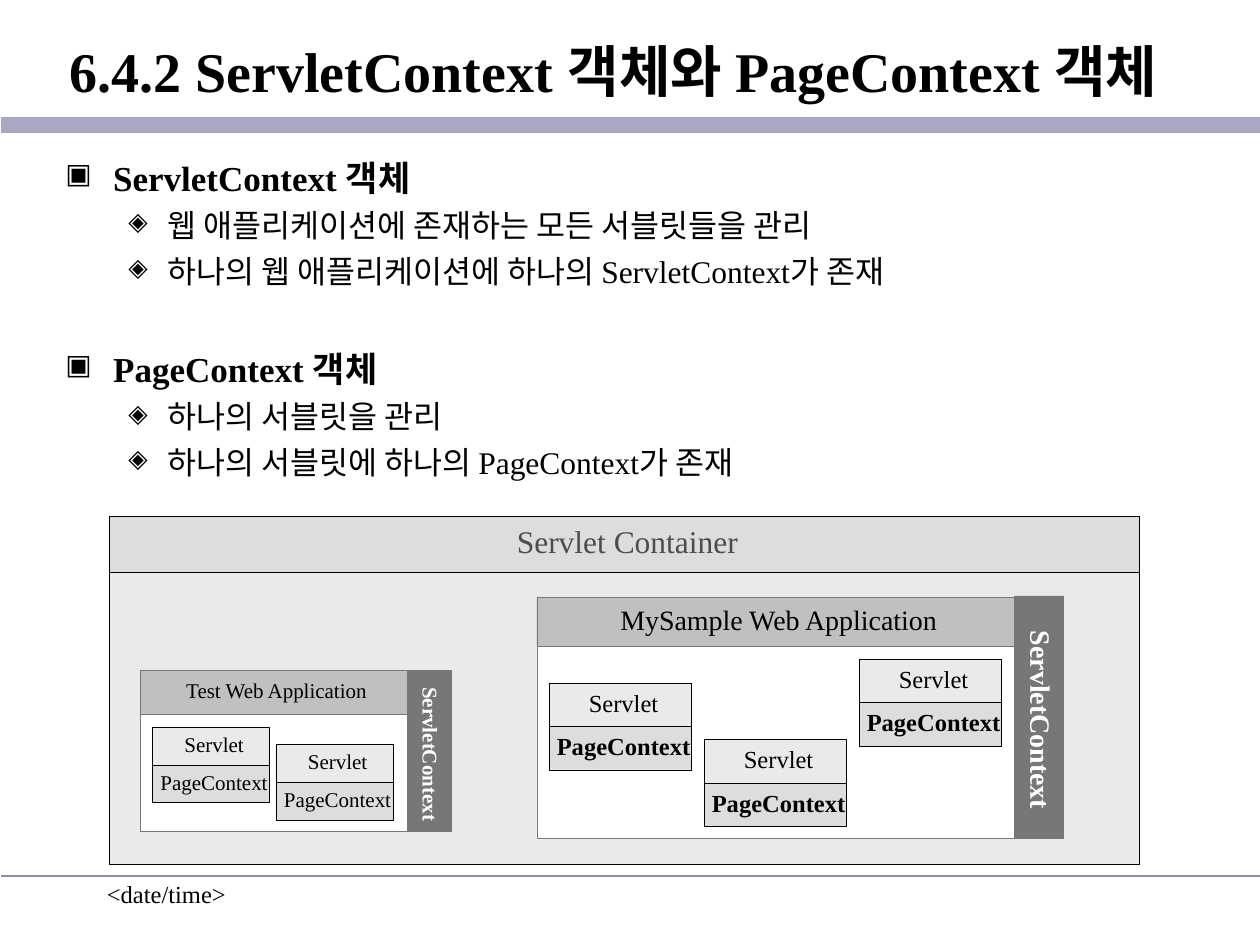
import pptx
import pptx.util
import pptx.dml.color
import pptx.enum.shapes
import pptx.enum.text
import pptx.oxml.ns
from lxml import etree

Inches, Pt = pptx.util.Inches, pptx.util.Pt
ALIGN = pptx.enum.text.PP_ALIGN
ANCHOR = pptx.enum.text.MSO_ANCHOR
FONT = "Times New Roman"
COLORS = {
    "black": "000000", "white": "FFFFFF", "caption": "4D4D4D",
    "band": "A8A8C4", "rule": "8C8CB2", "edge": "777777",
    "pale": "EAEAEA", "light": "DDDDDD", "mid": "C0C0C0",
}

# Content
TITLE = "6.4.2 ServletContext 객체와 PageContext 객체"
TOPICS = [
    ("ServletContext 객체", ["웹 애플리케이션에 존재하는 모든 서블릿들을 관리",
                           "하나의 웹 애플리케이션에 하나의 ServletContext가 존재"]),
    ("PageContext 객체", ["하나의 서블릿을 관리",
                        "하나의 서블릿에 하나의 PageContext가 존재"]),
]
# line: y, colour, width
RULES = [(0.99, "band", 9.25), (6.95, "rule", 1)]
# box and side are left, top, width, height; card is width and height of one half
APPS = [
    {"name": "MySample Web Application", "box": (4.26, 4.74, 3.79, 1.91),
     "header": 0.39, "size": 16, "side": (8.05, 4.73, 0.39, 1.92),
     "card": (1.13, 0.345), "card_size": 14, "bold": True,
     "cards": [(4.36, 5.42), (5.59, 5.87), (6.82, 5.23)]},
    {"name": "Test Web Application", "box": (1.11, 5.32, 2.12, 1.28),
     "header": 0.35, "size": 12, "side": (3.23, 5.32, 0.35, 1.28),
     "card": (0.93, 0.3), "card_size": 12, "bold": False,
     "cards": [(1.21, 5.77), (2.19, 5.91)]},
]


def rgb(name):
    return pptx.dml.color.RGBColor.from_string(COLORS[name])


def add_run(p, text, size, color="black", bold=False):
    r = p.add_run()
    r.text = text
    r.font.name, r.font.size, r.font.bold = FONT, Pt(size), bold
    r.font.color.rgb = rgb(color)


def add_box(shapes, x, y, w, h, fill, edge="black", text="", size=12,
            color="black", bold=False):
    sp = shapes.add_shape(pptx.enum.shapes.MSO_SHAPE.RECTANGLE,
                          Inches(x), Inches(y), Inches(w), Inches(h))
    sp.shadow.inherit = False
    sp.fill.solid()
    sp.fill.fore_color.rgb = rgb(fill)
    sp.line.color.rgb = rgb(edge)
    sp.line.width = Pt(0.25)
    if text:
        tf = sp.text_frame
        tf.word_wrap = True
        tf.vertical_anchor = ANCHOR.MIDDLE
        tf.margin_left, tf.margin_right = Inches(0.05), 0
        p = tf.paragraphs[0]
        p.alignment = ALIGN.CENTER
        p.line_spacing = 0.85
        add_run(p, text, size, color, bold)
    return sp


def add_text_box(s, x, y, w, h):
    tf = s.shapes.add_textbox(Inches(x), Inches(y), Inches(w), Inches(h)).text_frame
    tf.word_wrap = True
    return tf


def set_bullet(p, char, left, hanging):
    pPr = p._p.get_or_add_pPr()
    pPr.set("marL", str(Inches(left)))
    pPr.set("indent", str(-Inches(hanging)))
    qn = pptx.oxml.ns.qn
    color = etree.SubElement(pPr, qn("a:buClr"))
    etree.SubElement(color, qn("a:srgbClr"), val=COLORS["black"])
    etree.SubElement(pPr, qn("a:buSzPct"), val="80000")
    etree.SubElement(pPr, qn("a:buChar"), char=char)


def add_topics(tf):
    p = tf.paragraphs[0]
    for i, (heading, points) in enumerate(TOPICS):
        if i:
            p = tf.add_paragraph()
            p.space_before = Pt(33)
        set_bullet(p, "▣", 0.38, 0.38)
        add_run(p, heading, 20, bold=True)
        for point in points:
            p = tf.add_paragraph()
            p.level = 1
            p.space_before = Pt(4.5)
            set_bullet(p, "◈", 0.81, 0.31)
            add_run(p, point, 18)


def add_app(s, app):
    x, y, w, h = app["box"]
    head = app["header"]
    add_box(s.shapes, x, y, w, head, "mid", "edge", app["name"], app["size"])
    add_box(s.shapes, x, y + head, w, h - head, "white", "edge")

    # Side bar: a horizontal box turned about its centre
    x, y, w, h = app["side"]
    bar = add_box(s.shapes, x + (w - h) / 2, y + (h - w) / 2, h, w, "edge", "edge",
                  "ServletContext", app["size"], "white", True)
    bar.rotation = 90

    # Servlet cards
    w, h = app["card"]
    size = app["card_size"]
    for x, y in app["cards"]:
        shapes = s.shapes.add_group_shape().shapes
        add_box(shapes, x, y, w, h, "pale", text="Servlet", size=size)
        add_box(shapes, x, y + h, w, h, "light", text="PageContext", size=size,
                bold=app["bold"])


def main():
    prs = pptx.Presentation()
    prs.slide_width, prs.slide_height = Inches(10), Inches(7.5)
    s = prs.slides.add_slide(prs.slide_layouts[5])

    # Rules and date
    for y, color, width in RULES:
        line = s.shapes.add_connector(pptx.enum.shapes.MSO_CONNECTOR.STRAIGHT,
                                      Inches(0.01), Inches(y), Inches(10), Inches(y))
        line.line.color.rgb = rgb(color)
        line.line.width = Pt(width)
        etree.SubElement(line._element.spPr, pptx.oxml.ns.qn("a:effectLst"))
    add_run(add_text_box(s, 0.75, 6.93, 2.08, 0.5).paragraphs[0], "<date/time>", 14)

    # Title
    title = s.shapes.title
    title.left, title.top = Inches(0.01), Inches(0.11)
    title.width, title.height = Inches(9.99), Inches(0.9)
    tf = title.text_frame
    tf.vertical_anchor = ANCHOR.MIDDLE
    tf.margin_left = Inches(0.54)
    tf.paragraphs[0].alignment = ALIGN.LEFT
    add_run(tf.paragraphs[0], TITLE, 32, bold=True)

    add_topics(add_text_box(s, 0.42, 1.19, 9.16, 2.71))

    # Container diagram
    add_box(s.shapes, 0.87, 4.1, 8.17, 2.76, "pale")
    add_box(s.shapes, 0.87, 4.1, 8.17, 0.44, "light", text="Servlet Container",
            size=18, color="caption")
    for app in APPS:
        add_app(s, app)

    prs.save("out.pptx")


if __name__ == "__main__":
    main()
